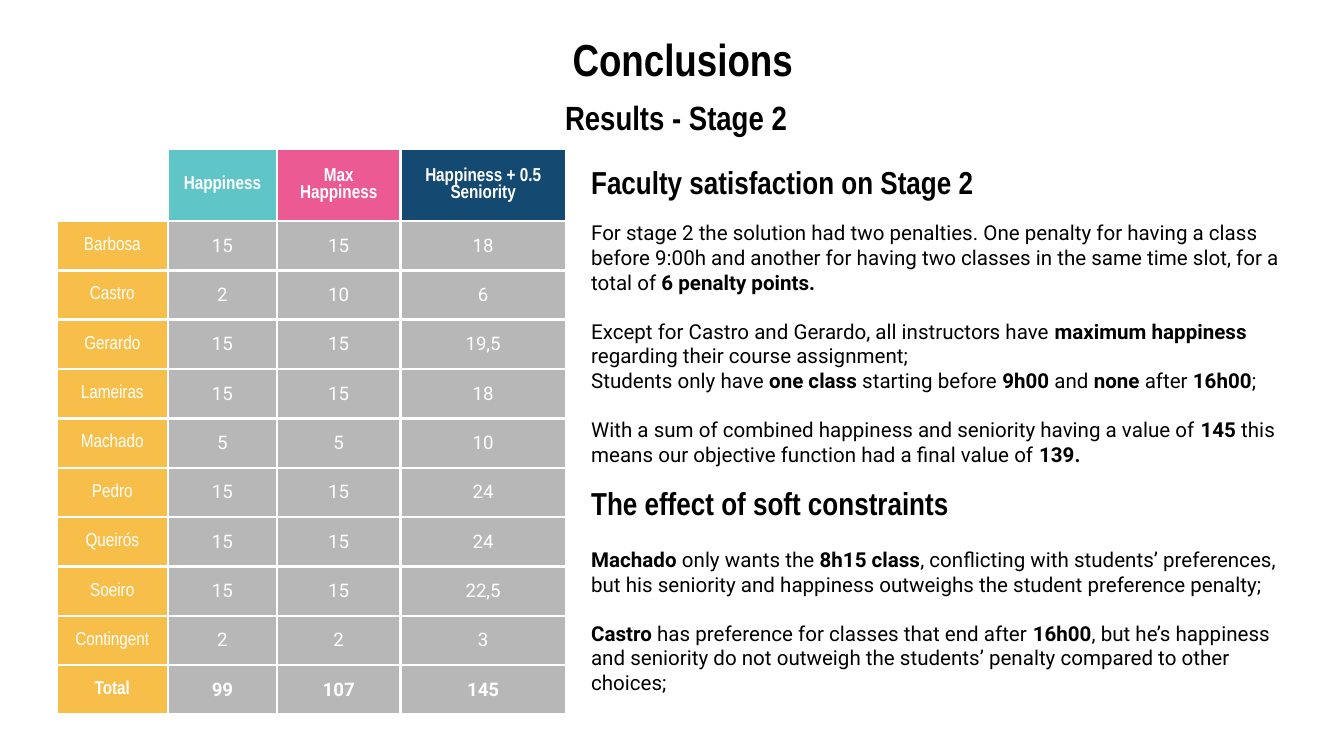
from pptx import Presentation
from pptx.dml.color import RGBColor
from pptx.enum.text import MSO_ANCHOR, PP_ALIGN
from pptx.oxml import parse_xml
from pptx.oxml.ns import nsdecls
from pptx.util import Inches, Pt

CENTER, LEFT = PP_ALIGN.CENTER, PP_ALIGN.LEFT
TOP, MIDDLE = MSO_ANCHOR.TOP, MSO_ANCHOR.MIDDLE

THEME = {
    "head_font": "Arial Narrow", "body_font": "Roboto",
    "title": 24, "subtitle": 18, "heading": 17, "body": 11, "cell": 10,
    "ink": "000000", "white": "FFFFFF", "label": "F7BF4A", "value": "B7B7B7",
    "columns": ["5FC5C6", "EB5A93", "144971"],
}

PAGE_WIDTH = 10
PAGE_HEIGHT = PAGE_WIDTH * 9 / 16

HEADERS = ["", "Happiness", "Max Happiness", "Happiness + 0.5 Seniority"]
ROWS = [
    ["Barbosa", "15", "15", "18"],
    ["Castro", "2", "10", "6"],
    ["Gerardo", "15", "15", "19,5"],
    ["Lameiras", "15", "15", "18"],
    ["Machado", "5", "5", "10"],
    ["Pedro", "15", "15", "24"],
    ["Queirós", "15", "15", "24"],
    ["Soeiro", "15", "15", "22,5"],
    ["Contingent", "2", "2", "3"],
    ["Total", "99", "107", "145"],
]
COLUMN_WIDTHS = [0.83, 0.81, 0.92, 1.23]
HEADER_HEIGHT, ROW_HEIGHT = 0.44, 0.29

SECTIONS = [
    ("Faculty satisfaction on Stage 2", 1.11, 2.05, [
        (0, [("For stage 2 the solution had two penalties. One penalty for having a class "
              "before 9:00h and another for having two classes in the same time slot, for a "
              "total of ", False),
             ("6 penalty points.", True)]),
        (13, [("Except for Castro and Gerardo, all instructors have ", False),
              ("maximum happiness", True), (" regarding their course assignment;", False)]),
        (0, [("Students only have ", False), ("one class", True), (" starting before ", False),
             ("9h00 ", True), ("and ", False), ("none ", True), ("after ", False),
             ("16h00", True), (";", False)]),
        (13, [("With a sum of combined happiness and seniority having a value of ", False),
              ("145 ", True), ("this means our objective function had a final value of ", False),
              ("139.", True)]),
    ]),
    ("The effect of soft constraints", 3.5, 1.31, [
        (0, [("Machado ", True), ("only wants the ", False), ("8h15 class", True),
             (", conflicting with students’ preferences, but his seniority and happiness "
              "outweighs the student preference penalty;", False)]),
        (13, [("Castro ", True), ("has preference for classes that end after ", False),
              ("16h00", True),
              (", but he’s happiness and seniority do not outweigh the students’ penalty "
               "compared to other choices;", False)]),
    ]),
]
SECTION_LEFT, SECTION_WIDTH, HEADING_HEIGHT = 4.3, 5.44, 0.49
BODY_OFFSETS = [0.43, 0.47]


def style(para, font, size, color, bold=None, align=LEFT):
    para.alignment = align
    para.font.name = THEME[font]
    para.font.size = Pt(THEME[size])
    para.font.color.rgb = RGBColor.from_string(color)
    para.font.bold = bold


def set_margins(holder):
    holder.margin_left = holder.margin_right = Inches(0.1)
    holder.margin_top = holder.margin_bottom = Inches(0.1)


def set_frame(frame, anchor):
    frame.word_wrap = True
    frame.vertical_anchor = anchor
    set_margins(frame)


def add_box(page, left, top, width, height):
    box = page.shapes.add_textbox(Inches(left), Inches(top), Inches(width), Inches(height))
    set_frame(box.text_frame, TOP)
    return box.text_frame


def add_heading(page, text, size, align, *place):
    para = add_box(page, *place).paragraphs[0]
    para.text = text
    style(para, "head_font", size, THEME["ink"], True, align)


def add_body(page, paragraphs, *place):
    frame = add_box(page, *place)
    for index, (gap, spans) in enumerate(paragraphs):
        para = frame.add_paragraph() if index else frame.paragraphs[0]
        style(para, "body_font", "body", THEME["ink"])
        para.space_before = Pt(gap)
        for text, bold in spans:
            span = para.add_run()
            span.text = text
            span.font.bold = bold


def set_borders(cell):
    properties = cell._tc.get_or_add_tcPr()
    for index, side in enumerate(("lnL", "lnR", "lnT", "lnB")):
        properties.insert(index, parse_xml(
            f'<a:{side} {nsdecls("a")} w="{Pt(1.5)}"><a:solidFill>'
            f'<a:srgbClr val="{THEME["white"]}"/></a:solidFill></a:{side}>'))


def fill_cell(cell, text, row, column):
    set_margins(cell)
    cell.vertical_anchor = MIDDLE
    if text:
        if row == 0:
            color = THEME["columns"][column - 1]
        else:
            color = THEME["label"] if column == 0 else THEME["value"]
        cell.fill.solid()
        cell.fill.fore_color.rgb = RGBColor.from_string(color)
    else:
        cell.fill.background()
    para = cell.text_frame.paragraphs[0]
    para.text = text
    font = "head_font" if row == 0 or column == 0 else "body_font"
    style(para, font, "cell", THEME["white"], row in (0, len(ROWS)), CENTER)
    set_borders(cell)


def add_results(page):
    lines = [HEADERS] + ROWS
    heights = [HEADER_HEIGHT] + [ROW_HEIGHT] * len(ROWS)
    table = page.shapes.add_table(
        len(lines), len(HEADERS), Inches(0.42), Inches(1.11),
        Inches(sum(COLUMN_WIDTHS)), Inches(sum(heights))).table
    table.first_row = table.horz_banding = False
    for column, width in zip(table.columns, COLUMN_WIDTHS):
        column.width = Inches(width)
    for row, (line, height) in enumerate(zip(lines, heights)):
        table.rows[row].height = Inches(height)
        for column, text in enumerate(line):
            fill_cell(table.cell(row, column), text, row, column)


def main():
    deck = Presentation()
    deck.slide_width, deck.slide_height = Inches(PAGE_WIDTH), Inches(PAGE_HEIGHT)
    page = deck.slides.add_slide(deck.slide_layouts[5])

    title = page.shapes.title
    title.left, title.top = Inches(0.42), Inches(0.12)
    title.width, title.height = Inches(9.32), Inches(0.63)
    title.text = "Conclusions"
    set_frame(title.text_frame, MIDDLE)
    style(title.text_frame.paragraphs[0], "head_font", "title", THEME["ink"], True, CENTER)

    add_heading(page, "Results - Stage 2", "subtitle", CENTER, 2.42, 0.62, 5.22, 0.38)
    add_results(page)
    for (heading, top, height, paragraphs), offset in zip(SECTIONS, BODY_OFFSETS):
        add_heading(page, heading, "heading", LEFT,
                    SECTION_LEFT, top, SECTION_WIDTH, HEADING_HEIGHT)
        add_body(page, paragraphs, SECTION_LEFT, top + offset, SECTION_WIDTH, height)
    deck.save("out.pptx")


if __name__ == "__main__":
    main()
